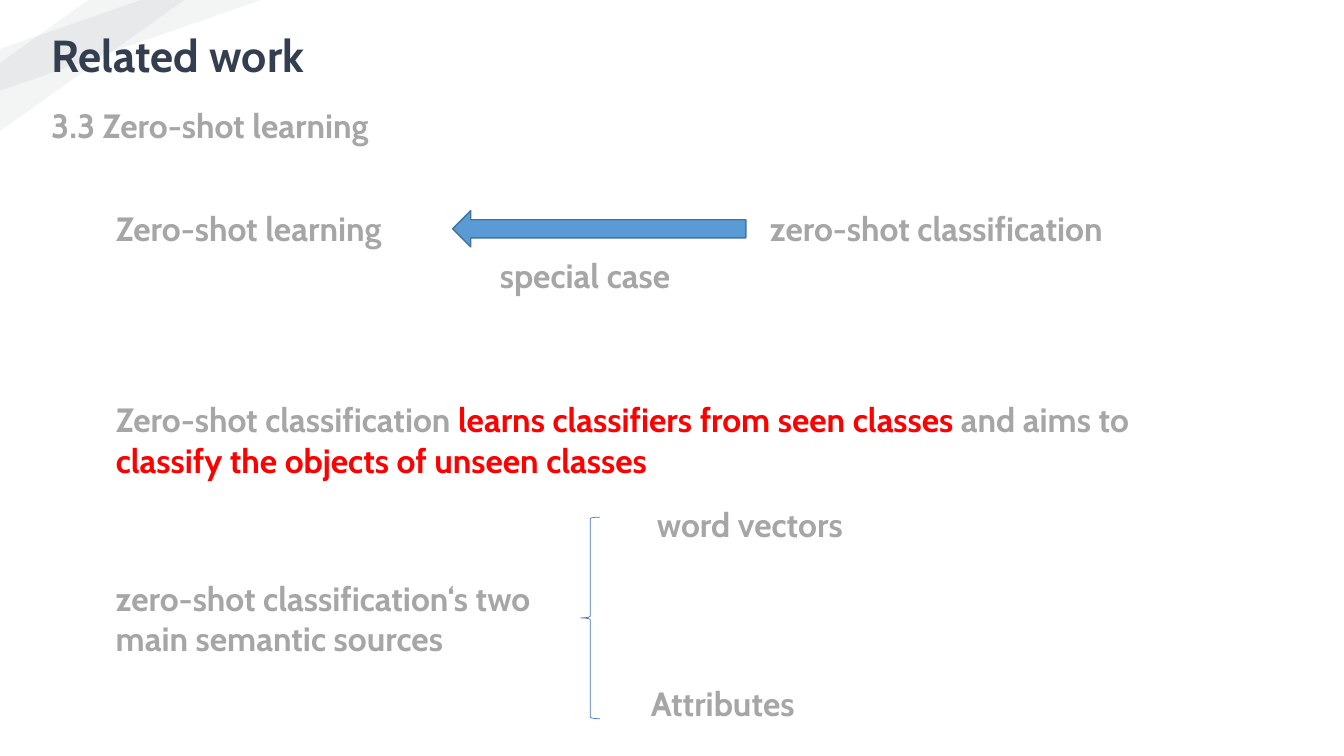
import pptx
import pptx.dml.color
import pptx.enum.shapes
import pptx.enum.text
import pptx.oxml
import pptx.oxml.ns
import pptx.util

Pt = pptx.util.Pt
Preset = pptx.enum.shapes.MSO_SHAPE


def colour(hex_code):
    return pptx.dml.color.RGBColor.from_string(hex_code)


class RelatedWorkSlide:
    """Holds the text style and the slide, and draws each kind of element."""

    font = "Cabin"
    grey, red, navy = "A6A6A6", "FF0000", "333F50"

    def __init__(self, deck):
        self.slide = deck.slides.add_slide(deck.slide_layouts[5])

    def set_words(self, holder, parts, size):
        frame = holder.text_frame
        frame.word_wrap = True
        frame.auto_size = pptx.enum.text.MSO_AUTO_SIZE.NONE
        frame.vertical_anchor = pptx.enum.text.MSO_ANCHOR.MIDDLE
        paragraph = frame.paragraphs[0]
        paragraph.alignment = pptx.enum.text.PP_ALIGN.LEFT
        paragraph.space_before = Pt(10)
        for wording, hex_code in parts:
            run = paragraph.add_run()
            run.text = wording
            run.font.name = self.font
            run.font.size = Pt(size)
            run.font.bold = True
            run.font.color.rgb = colour(hex_code)

    def title(self, wording, left, top, width, height):
        heading = self.slide.shapes.title
        heading.left, heading.top = Pt(left), Pt(top)
        heading.width, heading.height = Pt(width), Pt(height)
        self.set_words(heading, [(wording, self.navy)], 32)

    def text(self, parts, left, top, width, height):
        box = self.slide.shapes.add_textbox(Pt(left), Pt(top), Pt(width), Pt(height))
        self.set_words(box, parts, 24)

    def label(self, wording, left, top, width, height):
        self.text([(wording, self.grey)], left, top, width, height)

    def shape(self, preset, left, top, width, height, fill=None, line=None, weight=1):
        drawn = self.slide.shapes.add_shape(preset, Pt(left), Pt(top), Pt(width), Pt(height))
        drawn.shadow.inherit = False
        if fill:
            drawn.fill.solid()
            drawn.fill.fore_color.rgb = colour(fill)
        else:
            drawn.fill.background()
        if line:
            drawn.line.color.rgb = colour(line)
            drawn.line.width = Pt(weight)
        else:
            drawn.line.fill.background()
        return drawn

    def stripe(self, width, height, cut):
        band = self.shape(Preset.DIAGONAL_STRIPE, 0, 0, width, height, fill="222A35")
        band.adjustments[0] = cut
        tint = band._element.spPr.find(".//" + pptx.oxml.ns.qn("a:srgbClr"))
        tint.append(pptx.oxml.parse_xml(
            f'<a:alpha {pptx.oxml.ns.nsdecls("a")} val="5000"/>'))
        self.slide.shapes._spTree.insert(2, band._element)


def main():
    deck = pptx.Presentation()
    deck.slide_width, deck.slide_height = Pt(960), Pt(540)
    page = RelatedWorkSlide(deck)
    margin, indent = 29.5, 75.6

    page.stripe(186.5, 64.8, 0.54)
    page.stripe(131.8, 93.6, 0.48)
    page.title("Related work", margin, 16.6, 411.8, 45.4)
    page.label("3.3 Zero-shot learning", margin, 72, 307.4, 34.6)

    page.label("Zero-shot learning", indent, 144, 238.3, 38.2)
    page.label("zero-shot classification", 542.9, 144, 321.1, 38.2)
    page.shape(Preset.LEFT_ARROW, 323.3, 150.5, 209.5, 25.9, fill="5B9BD5", line="43739E")
    page.label("special case", 349.9, 177.8, 157, 37.4)

    page.text([
        ("Zero-shot classification ", page.grey),
        ("learns classifiers from seen classes ", page.red),
        ("and aims to ", page.grey),
        ("classify the objects of unseen classes", page.red),
    ], indent, 280.1, 763.9, 67.7)

    page.label("zero-shot classification‘s two main semantic sources", indent, 406.1, 326.9, 70.6)
    page.shape(Preset.LEFT_BRACE, 414.7, 369.4, 13.7, 144, line="4472C4", weight=0.5)
    page.label("word vectors", 462.2, 355.7, 198.7, 37.4)
    page.label("Attributes", 457.9, 483.8, 198.7, 37.4)

    deck.save("out.pptx")


if __name__ == "__main__":
    main()
